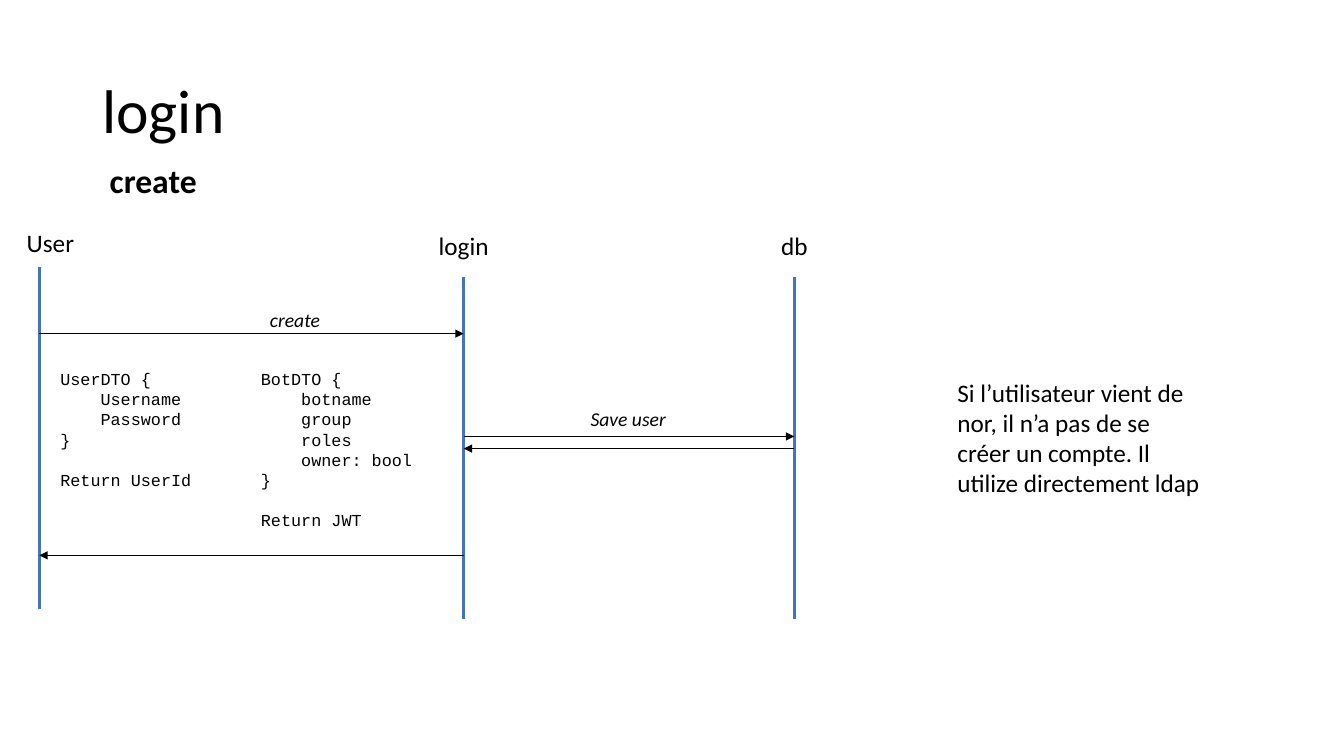
from collections import namedtuple

from lxml.etree import SubElement
from pptx import Presentation
from pptx.dml.color import RGBColor
from pptx.enum.shapes import MSO_CONNECTOR as Connector
from pptx.enum.text import MSO_ANCHOR as Anchor, MSO_AUTO_SIZE as AutoSize, PP_ALIGN as Align
from pptx.oxml.ns import qn
from pptx.util import Inches, Pt

COLORS = {"text": "000000", "arrow": "000000", "lifeline": "4472C4", "background": "FFFFFF"}
COLUMN, ROW = Inches(13.33) / 40, Inches(7.5) / 30

TITLE = {"name": "Calibri", "size": Pt(44)}
SUBTITLE = {"name": "Calibri", "size": Pt(24), "bold": True}
BODY = {"name": "Calibri", "size": Pt(18)}
MESSAGE = {"name": "Calibri", "size": Pt(14), "italic": True}
CODE = {"name": "Courier New", "size": Pt(12)}
CODE_LINE = Pt(14.4)

Box = namedtuple("Box", "column row columns rows")
Lifeline = namedtuple("Lifeline", "name column start label_shift label_row label_columns")
Message = namedtuple("Message", "source target row text shift lift columns", defaults=("", 0, 0, 0))
Listing = namedtuple("Listing", "column columns body result")

LIFELINES = [
    Lifeline("User", 0, 1.76, 0.33, 0, 2.04),
    Lifeline("login", 12.63, 2.16, 0, 0.12, 2.1),
    Lifeline("db", 22.47, 2.16, 0, 0.12, 1.41),
]
LIFELINE_ROWS = 13.56
MESSAGES = [
    Message("User", "login", 4.4, "create", 6.57, 1.2, 2.1),
    Message("login", "db", 8.48, "Save user", 3.48, 1.36, 2.88),
    Message("db", "login", 8.96),
    Message("login", "User", 13.2),
]
LISTINGS = [
    Listing(0.33, 4.56, ["UserDTO {", "    Username", "    Password", "}"], "Return UserId"),
    Listing(
        6.3, 5.19,
        ["BotDTO {", "    botname", "    group", "    roles", "    owner: bool", "}"],
        "Return JWT",
    ),
]


def apply_format(target, values):
    """Set each named attribute of the target."""
    for name, value in values.items():
        setattr(target, name, value)


def inside(parent, column, row, columns, rows):
    """Return a box whose position is counted from the parent's corner."""
    return Box(parent.column + column, parent.row + row, columns, rows)


def add_text(slide, box, lines, font, wrap=False, frame_format=None, paragraph_format=None):
    """Write lines in a text box and return its paragraphs."""
    shape = slide.shapes.add_textbox(
        round(box.column * COLUMN), round(box.row * ROW),
        round(box.columns * COLUMN), round(box.rows * ROW),
    )
    frame = shape.text_frame
    apply_format(frame, {"word_wrap": wrap, "auto_size": AutoSize.SHAPE_TO_FIT_TEXT})
    apply_format(frame, frame_format or {})
    frame.text = "\n".join(lines)
    for paragraph in frame.paragraphs:
        apply_format(paragraph, paragraph_format or {})
        for run in paragraph.runs:
            apply_format(run.font, font)
            run.font.color.rgb = RGBColor.from_string(COLORS["text"])
    return frame.paragraphs


def add_line(slide, start, end, color, width, arrow=False):
    """Draw a straight line between two grid points."""
    line = slide.shapes.add_connector(
        Connector.STRAIGHT,
        round(start[0] * COLUMN), round(start[1] * ROW),
        round(end[0] * COLUMN), round(end[1] * ROW),
    )
    line.line.color.rgb = RGBColor.from_string(COLORS[color])
    line.line.width = Pt(width)
    if arrow:
        SubElement(line.line._get_or_add_ln(), qn("a:tailEnd"), type="triangle")
    SubElement(line._element.spPr, qn("a:effectLst"))


def add_heading(slide, box):
    """Place the title and the subtitle below it."""
    add_text(
        slide, box, ["login"], TITLE, wrap=True,
        frame_format={"auto_size": AutoSize.NONE, "vertical_anchor": Anchor.MIDDLE},
        paragraph_format={"line_spacing": 0.9},
    )
    add_text(slide, inside(box, 0.22, 4.56, 3.21, 2), ["create"], SUBTITLE)


def add_lifelines(slide, box):
    """Draw each participant's vertical line and its name."""
    for lifeline in LIFELINES:
        column, top = box.column + lifeline.column, box.row + lifeline.start
        add_line(slide, (column, top), (column, top + LIFELINE_ROWS), "lifeline", 2.25)
        label_column = lifeline.column + lifeline.label_shift - lifeline.label_columns / 2
        label = inside(box, label_column, lifeline.label_row, lifeline.label_columns, 1.6)
        add_text(slide, label, [lifeline.name], BODY, paragraph_format={"alignment": Align.CENTER})


def add_messages(slide, box):
    """Draw the arrows between participants and their captions."""
    columns = {lifeline.name: lifeline.column for lifeline in LIFELINES}
    for message in MESSAGES:
        source, target = columns[message.source], columns[message.target]
        row = box.row + message.row
        add_line(slide, (box.column + source, row), (box.column + target, row), "arrow", 1, True)
        if message.text:
            caption = inside(
                box, source + message.shift, message.row - message.lift, message.columns, 1.36
            )
            add_text(slide, caption, [message.text], MESSAGE)


def add_listings(slide, box):
    """Write the data structures, each with its result one line below."""
    for listing in LISTINGS:
        lines = [*listing.body, listing.result]
        rows = 0.4 + (len(lines) + 1) * CODE_LINE / ROW
        paragraphs = add_text(
            slide, inside(box, listing.column, 5.6, listing.columns, rows), lines, CODE,
            paragraph_format={"line_spacing": CODE_LINE},
        )
        paragraphs[-1].space_before = CODE_LINE


def add_note(slide, box):
    """Write the remark beside the diagram."""
    note = "Si l’utilisateur vient de nor, il n’a pas de se créer un compte. Il utilize directement ldap"
    add_text(slide, box, [note], BODY, wrap=True)


def main():
    """Build and save the login sequence slide."""
    presentation = Presentation()
    apply_format(presentation, {"slide_width": Inches(13.33), "slide_height": Inches(7.5)})
    slide = presentation.slides.add_slide(presentation.slide_layouts[6])
    slide.background.fill.solid()
    slide.background.fill.fore_color.rgb = RGBColor.from_string(COLORS["background"])
    diagram = Box(1.17, 8.84, 22.47, 15.72)
    add_heading(slide, Box(2.75, 1.6, 34.5, 5.8))
    add_lifelines(slide, diagram)
    add_messages(slide, diagram)
    add_listings(slide, diagram)
    add_note(slide, Box(28.2, 14.76, 7.86, 5.24))
    presentation.save("out.pptx")


if __name__ == "__main__":
    main()
